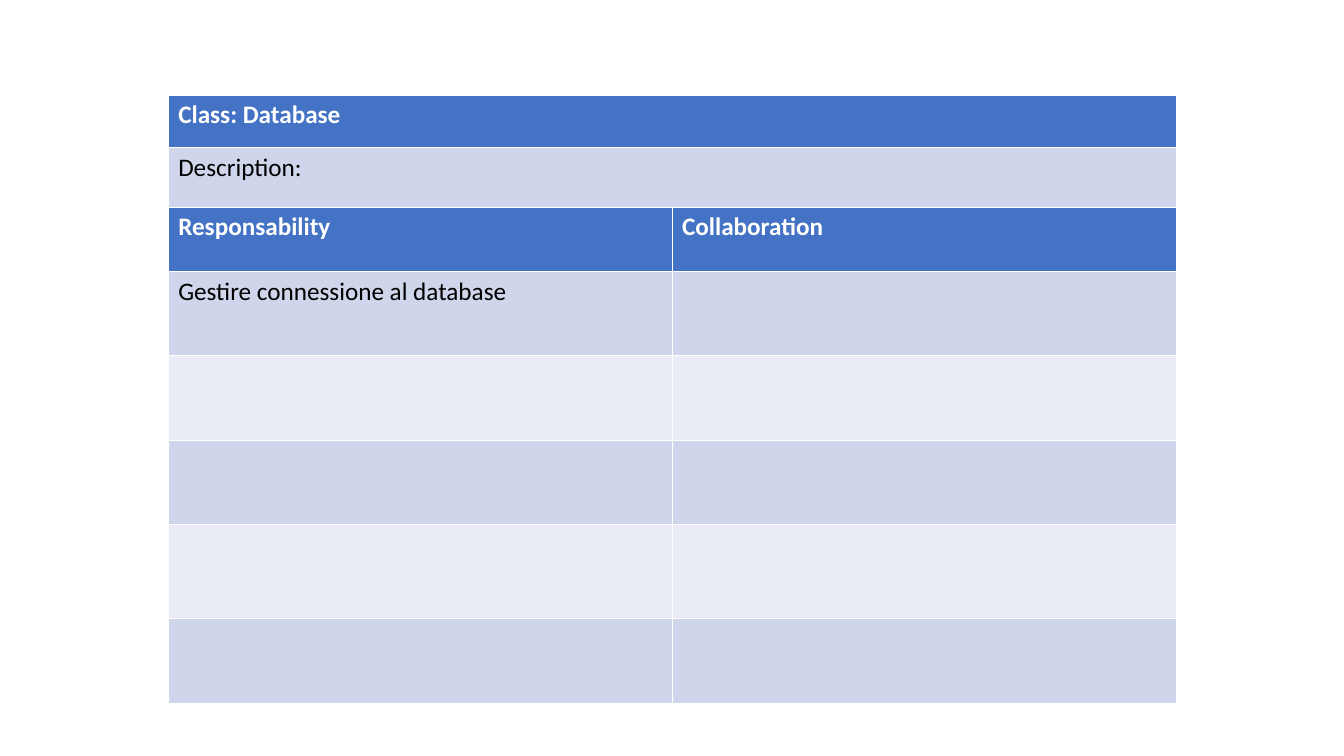
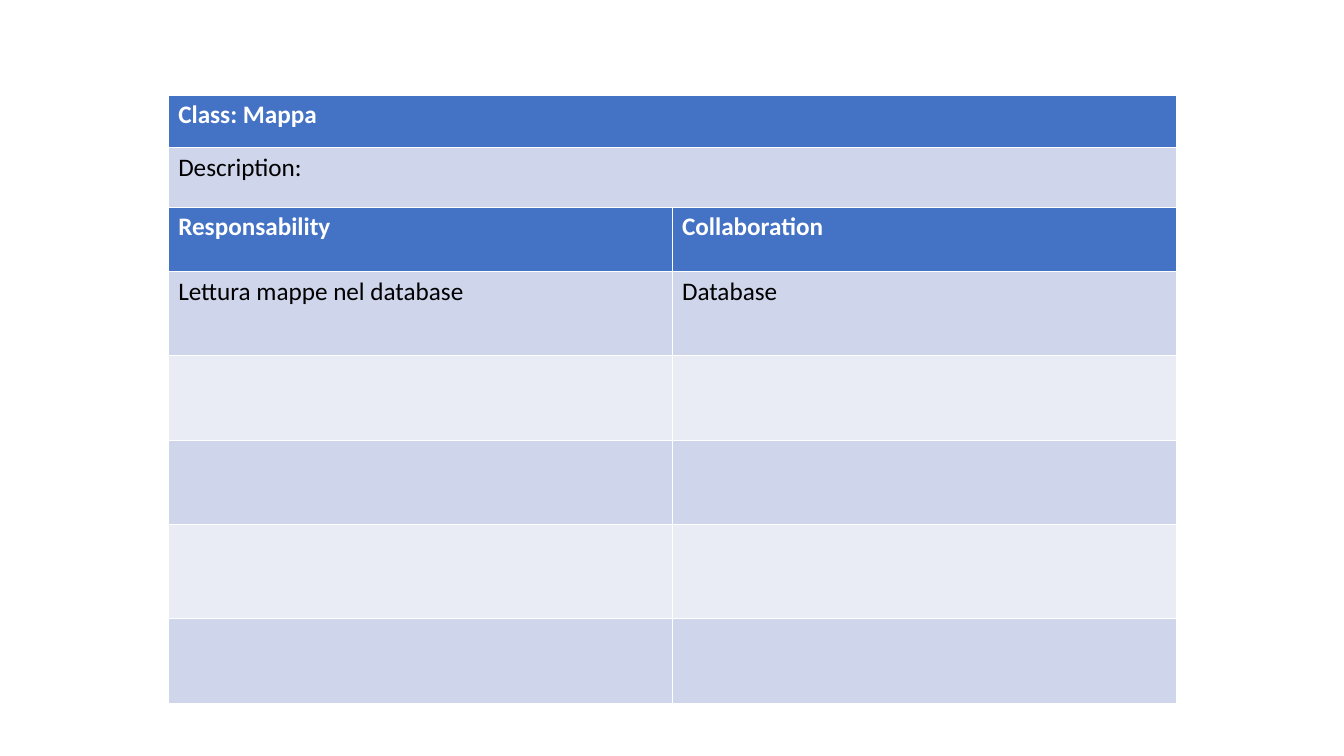
from lxml.etree import SubElement as Sub
from pptx import Presentation
from pptx.dml.color import RGBColor as RGB
from pptx.oxml.ns import qn
from pptx.util import Cm, Pt

# Content: class name, then rows of responsibility and collaboration
CARDS = [
    ("Database", [("Gestire connessione al database", "")]),
    ("Mappa", [("Lettura mappe nel database", "Database")]),
]
HEADS = ("Responsability", "Collaboration")
BODY = 5  # body rows on each card

# Shared style
COL = {"head": "4472C4", "odd": "CFD5EA", "even": "E9EBF5",
       "line": "FFFFFF", "light": "FFFFFF", "dark": "000000"}
FONT, SIZE = "Calibri", Pt(18)
THIN, THICK = Pt(0.23), Pt(0.75)

# Layout in centimetres
LEFT, TOP, WIDTH = 4.24, 2.39, 25.4
TITLE = [1.33, 1.49]
GRID = [1.62, 2.13, 2.13, 2.13, 2.36, 2.13]


def border(cell, row):
    """Thin white lines, with a thicker one under the header row."""
    props = cell._tc.get_or_add_tcPr()
    wide = {"lnB": row == 0, "lnT": row == 1}
    for side in ("lnL", "lnR", "lnT", "lnB"):
        size = THICK if wide.get(side) else THIN
        line = Sub(props, qn("a:" + side), w=str(int(size)))
        fill = Sub(line, qn("a:solidFill"))
        Sub(fill, qn("a:srgbClr"), val=COL["line"])


def style(cell, text, row):
    """Header row in blue, body rows in alternating tints."""
    head = row == 0
    border(cell, row)
    cell.fill.solid()
    tint = "head" if head else "odd" if row % 2 else "even"
    cell.fill.fore_color.rgb = RGB.from_string(COL[tint])
    cell.text = text
    para = cell.text_frame.paragraphs[0]
    para.line_spacing = 0.98
    font = para.font
    font.name, font.size, font.bold = FONT, SIZE, head
    font.color.rgb = RGB.from_string(COL["light" if head else "dark"])


def table(slide, top, highs, rows):
    count = len(rows[0])
    frame = slide.shapes.add_table(len(rows), count, Cm(LEFT), Cm(top),
                                   Cm(WIDTH), Cm(sum(highs)))
    grid = frame.table
    for col in grid.columns:
        col.width = Cm(WIDTH / count)
    for r, (high, texts) in enumerate(zip(highs, rows)):
        grid.rows[r].height = Cm(high)
        for c, text in enumerate(texts):
            style(grid.cell(r, c), text, r)


def main():
    deck = Presentation()
    deck.slide_width, deck.slide_height = Cm(33.88), Cm(19.05)
    for name, tasks in CARDS:
        slide = deck.slides.add_slide(deck.slide_layouts[6])
        blank = [("", "")] * (BODY - len(tasks))
        table(slide, TOP + sum(TITLE), GRID, [HEADS] + tasks + blank)
        table(slide, TOP, TITLE, [(f"Class: {name}",), ("Description:",)])
    deck.save("out.pptx")


if __name__ == "__main__":
    main()
